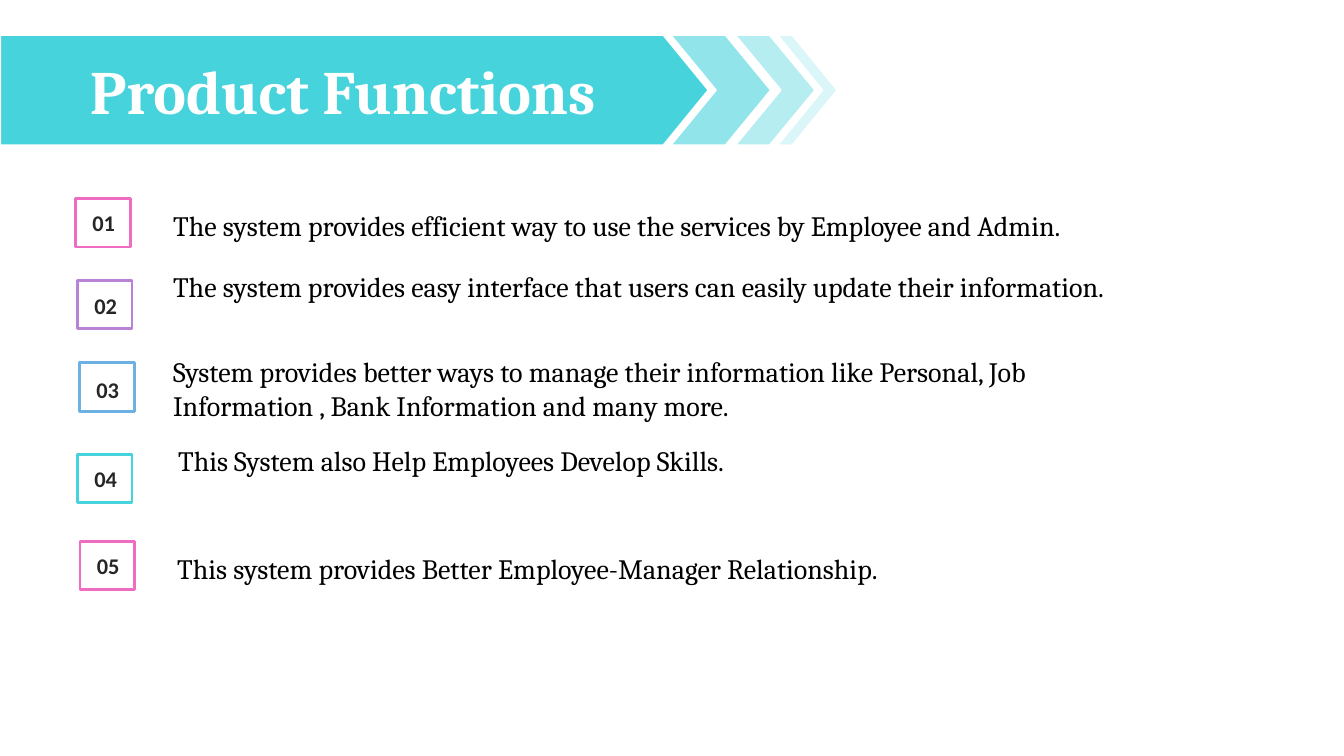
from pptx import Presentation
from pptx.dml.color import RGBColor
from pptx.enum.shapes import MSO_SHAPE
from pptx.enum.text import MSO_ANCHOR, PP_ALIGN
from pptx.util import Pt

CHEVRON, PENTAGON, RECTANGLE = MSO_SHAPE.CHEVRON, MSO_SHAPE.PENTAGON, MSO_SHAPE.RECTANGLE
TOP, MIDDLE = MSO_ANCHOR.TOP, MSO_ANCHOR.MIDDLE
LEFT, CENTER = PP_ALIGN.LEFT, PP_ALIGN.CENTER

COLORS = {
    "white": "FFFFFF", "black": "000000", "dark": "262626",
    "teal": "47D3DC", "teal_medium": "91E5EA", "teal_light": "B5EDF1", "teal_pale": "DAF6F8",
    "pink": "EE6CC1", "purple": "B982D5", "blue": "6DB0E4",
}
FORMATS = {
    "title": {"name": "Cambria", "size": Pt(44), "bold": True},
    "number": {"name": "Calibri", "size": Pt(16), "bold": True},
    "body": {"name": "Cambria", "size": Pt(20), "bold": False},
}


def add_outlined(kind, left, top, width, height, fill, line, weight):
    shape = slide.shapes.add_shape(kind, Pt(left), Pt(top), Pt(width), Pt(height))
    shape.shadow.inherit = False
    shape.fill.solid()
    shape.fill.fore_color.rgb = RGBColor.from_string(COLORS[fill])
    shape.line.color.rgb = RGBColor.from_string(COLORS[line])
    shape.line.width = Pt(weight)
    return shape


def write_text(shape, text, style, color, alignment, anchor, inset=7.2):
    frame = shape.text_frame
    settings = {"word_wrap": True, "vertical_anchor": anchor,
                "margin_left": Pt(inset), "margin_right": Pt(inset)}
    for name, value in settings.items():
        setattr(frame, name, value)
    paragraph = frame.paragraphs[0]
    paragraph.alignment = alignment
    run = paragraph.add_run()
    run.text = text
    for name, value in FORMATS[style].items():
        setattr(run.font, name, value)
    run.font.color.rgb = RGBColor.from_string(COLORS[color])


presentation = Presentation()
presentation.slide_width = Pt(960)
presentation.slide_height = Pt(540)
slide = presentation.slides.add_slide(presentation.slide_layouts[6])

banner_parts = [
    (CHEVRON, 524.9, 57.6, 0.567, "teal_light", ""),
    (PENTAGON, 0, 506.2, 0.409, "teal", "Product Functions"),
    (CHEVRON, 555.1, 43.2, 0.747, "teal_pale", ""),
    (CHEVRON, 478.8, 72, 0.451, "teal_medium", ""),
]
for kind, left, width, point, fill, title in banner_parts:
    part = add_outlined(kind, left, 24.9, width, 79, fill, "white", 1.5)
    part.adjustments[0] = point
    if title:
        write_text(part, title, "title", "white", CENTER, MIDDLE)

functions = [
    (54, 141.8, 146.2, "pink", 116.6, 145.4, 782, 31.5,
     "The system provides efficient way to use the services by Employee and Admin."),
    (55.4, 200.2, 205.2, "purple", 116.6, 188.9, 698.4, 55.4,
     "The system provides easy interface that users can easily update their information."),
    (56.9, 259.2, 265, "blue", 116.6, 249.8, 698.4, 55.4,
     "System provides better ways to manage their information like Personal, Job "
     "Information , Bank Information and many more."),
    (55.4, 324.4, 328.7, "teal", 120.2, 313.2, 698.4, 31.5,
     "This System also Help Employees Develop Skills."),
    (57.2, 386.6, 391, "pink", 119.5, 390.2, 782, 31.5,
     "This system provides Better Employee-Manager Relationship."),
]
for index, function in enumerate(functions, 1):
    box_left, box_top, number_top, color, left, top, width, height, text = function
    add_outlined(RECTANGLE, box_left, box_top, 39, 34.6, "white", color, 2)
    number = slide.shapes.add_textbox(Pt(box_left + 3.2), Pt(number_top), Pt(33.8), Pt(26.6))
    write_text(number, f"{index:02}", "number", "dark", CENTER, TOP, 4)
    description = slide.shapes.add_textbox(Pt(left), Pt(top), Pt(width), Pt(height))
    write_text(description, text, "body", "black", LEFT, TOP)

presentation.save("out.pptx")
